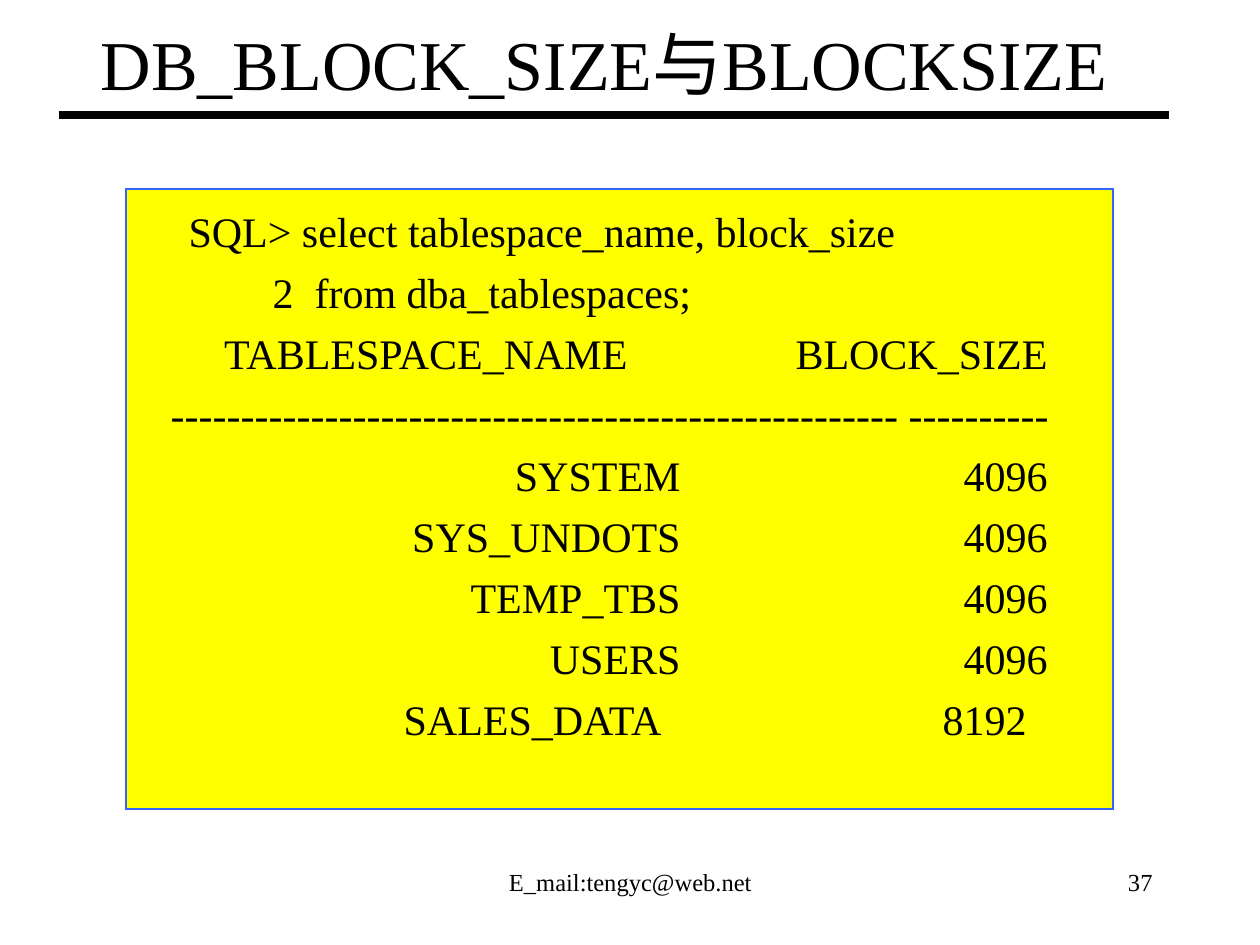
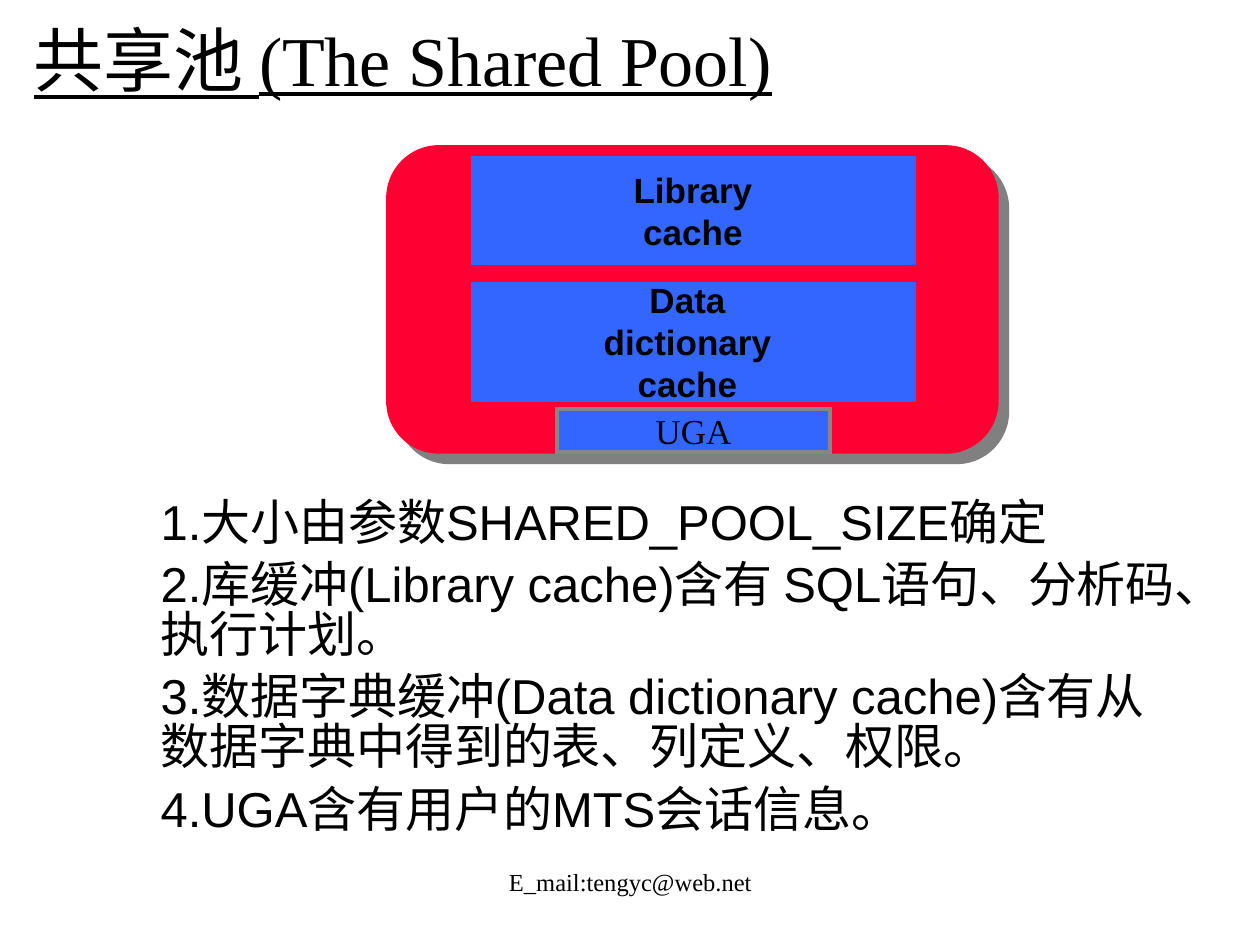
"""Build two slides on database block sizes and the shared pool."""
from lxml import etree
from pptx import Presentation, util as u
from pptx.dml.color import RGBColor
from pptx.enum import shapes, text
from pptx.oxml import parse_xml
from pptx.oxml.ns import nsdecls, qn

PX = 7257
BLACK = RGBColor(0x00, 0x00, 0x00)
YELLOW = RGBColor(0xFF, 0xFF, 0x00)
BLUE = RGBColor(0x33, 0x66, 0xFF)
RED = RGBColor(0xFF, 0x00, 0x33)
GRAY = RGBColor(0x86, 0x86, 0x86)
SERIF, SANS = "Times New Roman", "Arial"
LEFT, CENTER, RIGHT = text.PP_ALIGN.LEFT, text.PP_ALIGN.CENTER, text.PP_ALIGN.RIGHT
TOP, MIDDLE = text.MSO_ANCHOR.TOP, text.MSO_ANCHOR.MIDDLE
RECT, ROUND = shapes.MSO_SHAPE.RECTANGLE, shapes.MSO_SHAPE.ROUNDED_RECTANGLE


def write(sp, words, at=None, size=14, font=SERIF, align=LEFT, anchor=MIDDLE, bold=False,
          underline=False, wrap=True, indent=0, before=0, spacing=None, more=False):
    if at:
        sp.left, sp.top, sp.width, sp.height = [v * PX for v in at]
    tf = sp.text_frame
    tf.auto_size = text.MSO_AUTO_SIZE.NONE
    tf.word_wrap, tf.vertical_anchor = wrap, anchor
    p = tf.add_paragraph() if more else tf.paragraphs[0]
    p.text = words
    pPr = p._p.get_or_add_pPr()
    pPr.set("marL", str(indent * PX))
    pPr.set("indent", "0")
    etree.SubElement(pPr, qn("a:buNone"))
    p.alignment = align
    p.space_before = u.Pt(before if more else 0)
    if spacing:
        p.line_spacing = spacing
    for r in p.runs:
        r.font.size, r.font.name = u.Pt(size), font
        r.font.bold, r.font.underline = bold, underline
        r.font.color.rgb = BLACK


def box(s, kind, at, fill, line, width):
    sp = s.shapes.add_shape(kind, *[v * PX for v in at])
    sp.shadow.inherit = False
    sp.fill.solid()
    sp.fill.fore_color.rgb = fill
    sp.line.color.rgb = line
    sp.line.width = u.Pt(width)
    etree.SubElement(sp._element.spPr.find(qn("a:ln")), qn("a:miter"), lim="800000")
    return sp


prs = Presentation()
prs.slide_width, prs.slide_height = u.Inches(10), u.Inches(7.5)
block_slide, pool_slide = [prs.slides.add_slide(prs.slide_layouts[1]) for _ in range(2)]

s = block_slide
sp = box(s, RECT, (126, 189, 987, 620), YELLOW, BLUE, 1)
s.shapes.element.insert(2, sp.element)
write(s.shapes.title, "DB_BLOCK_SIZE与BLOCKSIZE", (42, 21, 1124, 84), size=40, align=CENTER)

listing_top, line_pitch = 199, 61
query = [
    ("SQL> select tablespace_name, block_size", dict(indent=123)),
    ("2  from dba_tablespaces;", dict(indent=207, before=6)),
    ("-" * 52 + " " + "-" * 10, dict(align=RIGHT, before=40.8)),
]
for i, (words, style) in enumerate(query):
    write(s.placeholders[1], words, (53, listing_top, 1008, 640), size=24, anchor=TOP,
          more=i > 0, **style)

results = [
    (2, "TABLESPACE_NAME", 627, "BLOCK_SIZE", 1047),
    (4, "SYSTEM", 680, "4096", 1047),
    (5, "SYS_UNDOTS", 680, "4096", 1047),
    (6, "TEMP_TBS", 680, "4096", 1047),
    (7, "USERS", 680, "4096", 1047),
    (8, "SALES_DATA", 661, "8192", 1026),
]
for row, name, name_right, value, value_right in results:
    for words, right, width in ((name, name_right, 460), (value, value_right, 300)):
        sp = s.shapes.add_textbox(0, 0, 0, 0)
        write(sp, words, (right + 13 - width, listing_top + row * line_pitch, width, line_pitch),
              size=24, align=RIGHT, anchor=TOP)

rule = s.shapes.add_connector(shapes.MSO_CONNECTOR.STRAIGHT, 59 * PX, 115 * PX, 1169 * PX, 115 * PX)
rule.line.color.rgb = BLACK
rule.line.width = u.Pt(4.5)
etree.SubElement(rule._element.spPr, qn("a:effectLst"))

s = pool_slide
sp = box(s, ROUND, (388, 147, 609, 305), RED, RED, 2)
sp.adjustments[0] = 0.167
sp._element.spPr.remove(sp._element.spPr.find(qn("a:effectLst")))
sp._element.spPr.append(parse_xml(
    f'<a:effectLst {nsdecls("a")}><a:outerShdw dist="107950" dir="2700000" algn="ctr" '
    'rotWithShape="0"><a:srgbClr val="808080"/></a:outerShdw></a:effectLst>'))
s.shapes.element.insert(2, sp.element)
write(s.shapes.title, "共享池 (The Shared Pool)", (21, 10, 777, 83), size=40, anchor=TOP, underline=True)

points = [
    "1.大小由参数SHARED_POOL_SIZE确定",
    "2.库缓冲(Library cache)含有 SQL语句、分析码、执行计划。",
    "3.数据字典缓冲(Data dictionary cache)含有从 数据字典中得到的表、列定义、权限。",
    "4.UGA含有用户的MTS会话信息。",
]
for i, words in enumerate(points):
    write(s.placeholders[1], words, (101, 494, 1106, 349), size=28, font=SANS, anchor=TOP,
          indent=47, before=7, spacing=0.85, more=i > 0)

caches = [
    ("Library\vcache", (473, 158, 441, 105), (588, 168, 210, 86)),
    ("Data\vdictionary\vcache", (473, 284, 441, 116), (577, 294, 221, 95)),
]
for words, frame, label in caches:
    box(s, RECT, frame, BLUE, BLUE, 2)
    sp = s.shapes.add_textbox(0, 0, 0, 0)
    write(sp, words, label, size=20, font=SANS, align=CENTER, bold=True, wrap=False)
sp = box(s, RECT, (557, 409, 273, 43), BLUE, GRAY, 2)
write(sp, "UGA", size=20, align=CENTER, wrap=False)

for s in prs.slides:
    sp = s.shapes.add_textbox(0, 0, 0, 0)
    write(sp, "E_mail:tengyc@web.net", (431, 850, 399, 63), align=CENTER)
sp = block_slide.shapes.add_textbox(0, 0, 0, 0)
write(sp, "37", (903, 850, 262, 63), align=RIGHT)

prs.save("out.pptx")
